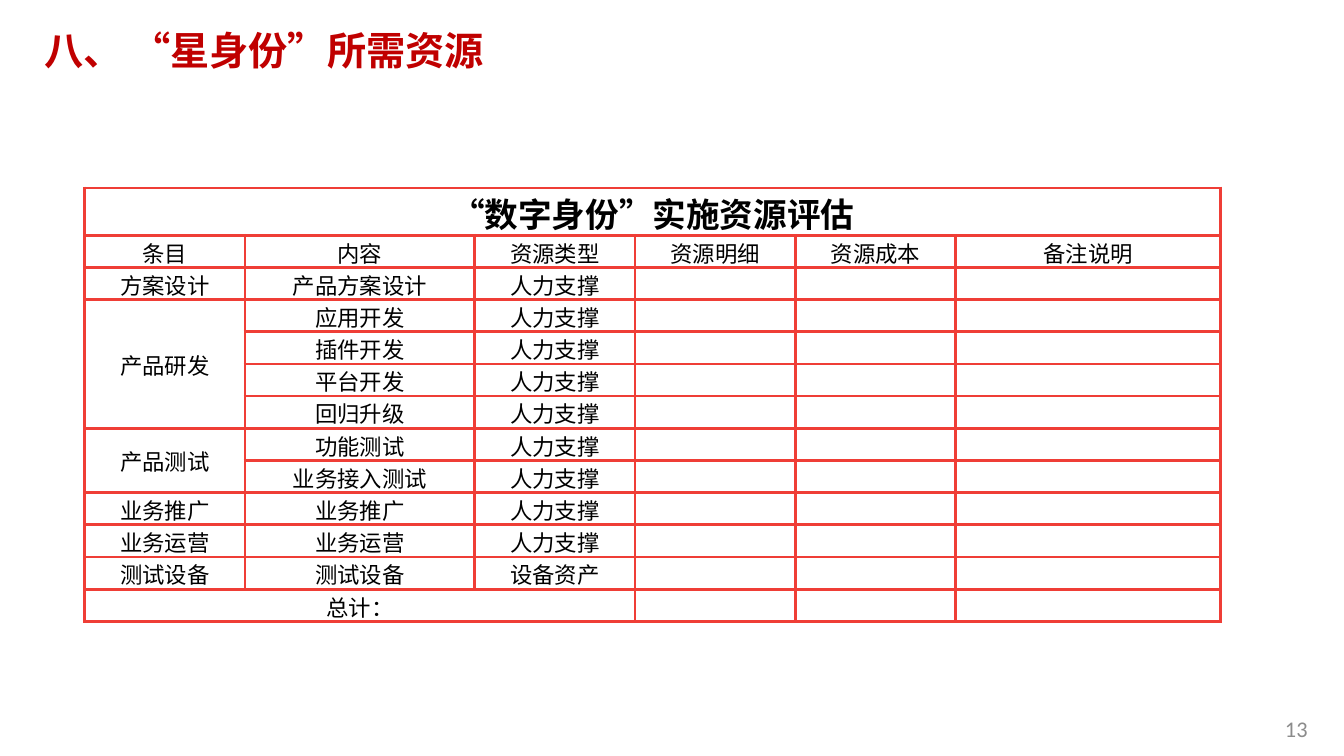
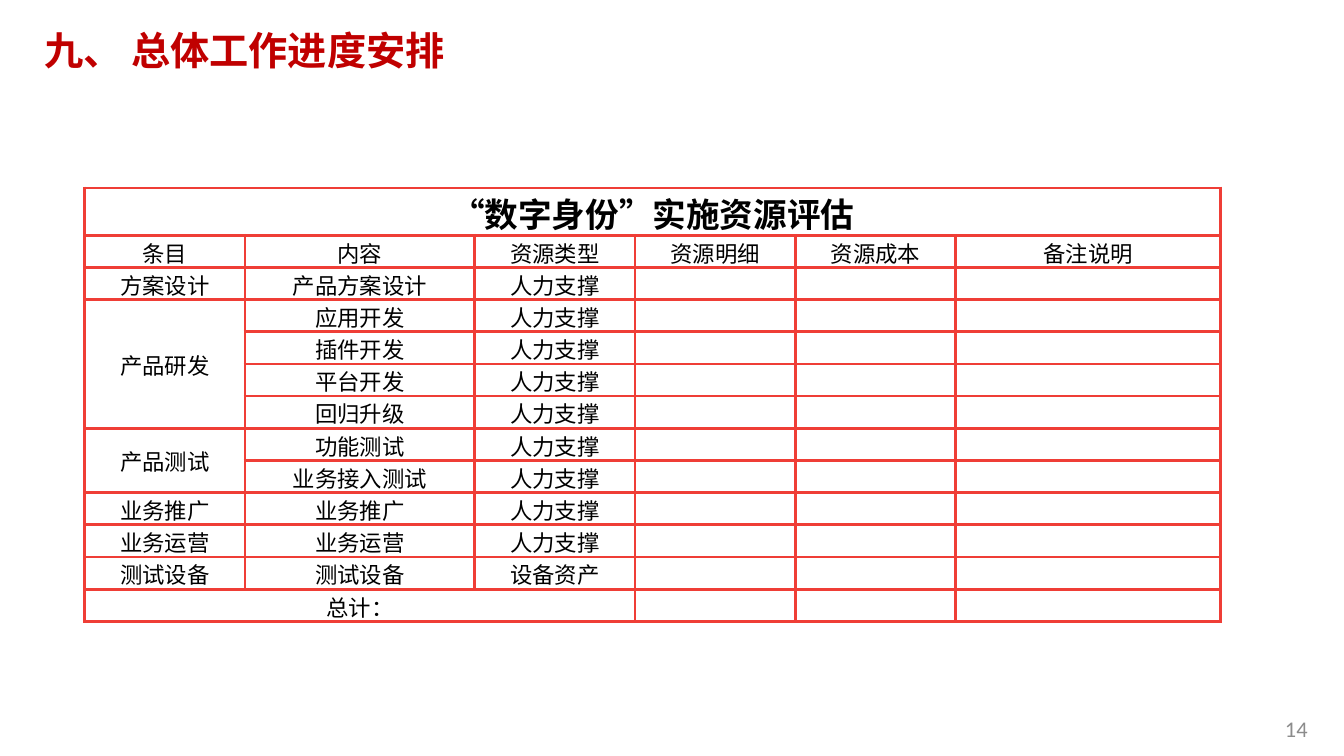
"""Builds the resource and schedule slides, each with the evaluation table."""
from lxml import etree
from pptx import Presentation
from pptx.dml.color import RGBColor
from pptx.enum import lang, text
from pptx.oxml import ns
from pptx.util import Pt

TITLE_RED = RGBColor(0xC0, 0x00, 0x00)
GRID_RED = RGBColor(0xEF, 0x3E, 0x36)
BLACK = RGBColor(0x00, 0x00, 0x00)
PAGE_GREY = RGBColor(0x8C, 0x8C, 0x8C)
CJK_FONT = "Noto Sans CJK SC"

HEADINGS = ["八、 “星身份”所需资源", "九、 总体工作进度安排"]
FIRST_PAGE = 13
STAFF = "人力支撑"
ROWS = [
    ["“数字身份”实施资源评估"],
    ["条目", "内容", "资源类型", "资源明细", "资源成本", "备注说明"],
    ["方案设计", "产品方案设计", STAFF],
    ["产品研发", "应用开发", STAFF],
    ["", "插件开发", STAFF],
    ["", "平台开发", STAFF],
    ["", "回归升级", STAFF],
    ["产品测试", "功能测试", STAFF],
    ["", "业务接入测试", STAFF],
    ["业务推广", "业务推广", STAFF],
    ["业务运营", "业务运营", STAFF],
    ["测试设备", "测试设备", "设备资产"],
    ["总计："],
]
MERGES = [((0, 0), (0, 5)), ((3, 0), (6, 0)), ((7, 0), (8, 0)), ((12, 0), (12, 2))]
COLUMN_WIDTHS = [114.5, 164.2, 114.5, 114.5, 114.5, 189.4]
ROW_HEIGHTS = [33.8] + [23] * 12

TITLE_FRAME = dict(left=Pt(26.6), top=Pt(9.4), width=Pt(920.2), height=Pt(51.8))
TITLE_TEXT = dict(
    margin_left=Pt(5), margin_right=Pt(5), margin_top=Pt(2.9), margin_bottom=Pt(2.9),
    vertical_anchor=text.MSO_ANCHOR.MIDDLE, auto_size=text.MSO_AUTO_SIZE.NONE)
CELL_FORMAT = dict(
    margin_left=Pt(0.72), margin_right=Pt(0.72), margin_top=Pt(0.72), margin_bottom=0,
    vertical_anchor=text.MSO_ANCHOR.MIDDLE)


def apply(target, values):
    for key, value in values.items():
        setattr(target, key, value)


def write(paragraph, words, size, color, bold=False, face=CJK_FONT):
    run = paragraph.add_run()
    run.text = words
    apply(run.font, dict(size=Pt(size), bold=bold, name=face))
    run.font.color.rgb = color
    if face == CJK_FONT:
        run.font.language_id = lang.MSO_LANGUAGE_ID.SIMPLIFIED_CHINESE
        etree.SubElement(run.font._element, ns.qn("a:ea"), typeface=face)


prs = Presentation()
prs.slide_width, prs.slide_height = Pt(960), Pt(540)
layout = prs.slide_layouts[5]
apply(layout.placeholders[0], TITLE_FRAME)

for page, heading in enumerate(HEADINGS, FIRST_PAGE):
    slide = prs.slides.add_slide(layout)

    title = slide.shapes.title
    apply(title.text_frame, TITLE_TEXT)
    title_line = title.text_frame.paragraphs[0]
    title_line.alignment = text.PP_ALIGN.LEFT
    write(title_line, heading, 28, TITLE_RED, bold=True)

    page_number = slide.shapes.add_textbox(Pt(910.8), Pt(507.6), Pt(33.1), Pt(26.6))
    page_number.text_frame.word_wrap = False
    write(page_number.text_frame.paragraphs[0], str(page), 16, PAGE_GREY, face="Calibri")

    resources = slide.shapes.add_table(
        len(ROWS), len(COLUMN_WIDTHS), Pt(60.5), Pt(134.2),
        Pt(sum(COLUMN_WIDTHS)), Pt(sum(ROW_HEIGHTS))).table
    apply(resources, dict(first_row=False, horz_banding=False))
    for column, width in zip(resources.columns, COLUMN_WIDTHS):
        column.width = Pt(width)
    for row, height in zip(resources.rows, ROW_HEIGHTS):
        row.height = Pt(height)
    for first, last in MERGES:
        resources.cell(*first).merge(resources.cell(*last))

    for r, entries in enumerate(ROWS):
        size = 24 if r == 0 else 16
        for c in range(len(COLUMN_WIDTHS)):
            cell = resources.cell(r, c)
            apply(cell, CELL_FORMAT)
            line = cell.text_frame.paragraphs[0]
            line.alignment = text.PP_ALIGN.CENTER
            if c < len(entries) and entries[c]:
                write(line, entries[c], size, BLACK, bold=r == 0)
            else:
                etree.SubElement(line._p, ns.qn("a:endParaRPr"), sz=str(size * 100))
            properties = cell._tc.get_or_add_tcPr()
            for side in ("lnL", "lnR", "lnT", "lnB"):
                border = etree.SubElement(properties, ns.qn("a:" + side), w=str(Pt(2.25)))
                paint = etree.SubElement(border, ns.qn("a:solidFill"))
                etree.SubElement(paint, ns.qn("a:srgbClr"), val=str(GRID_RED))
            cell.fill.background()

prs.save("out.pptx")
